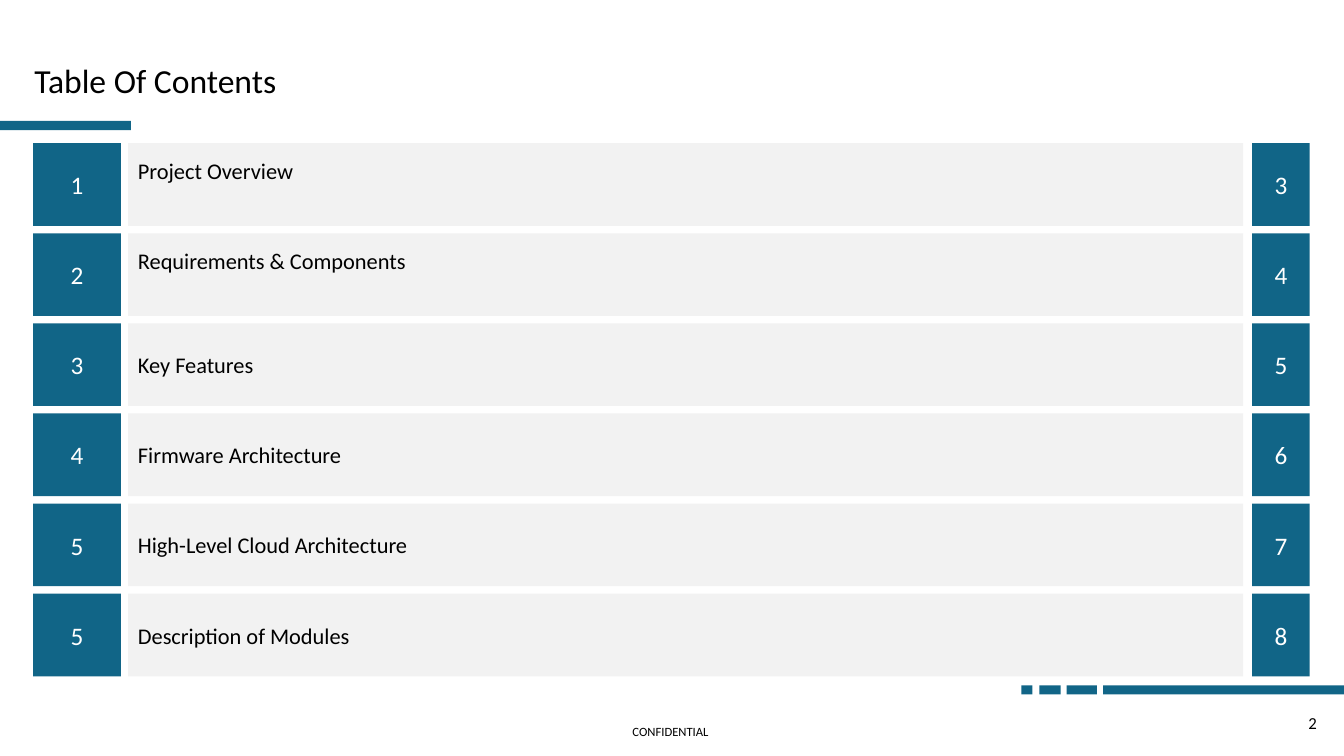
from dataclasses import dataclass

from pptx import Presentation
from pptx.dml.color import RGBColor
from pptx.enum.shapes import MSO_SHAPE
from pptx.enum.text import MSO_ANCHOR, PP_ALIGN
from pptx.shapes.base import BaseShape
from pptx.slide import Slide
from pptx.util import Inches, Pt

TEAL, GREY, BLACK, WHITE = "116587", "F2F2F2", "000000", "FFFFFF"
FONT = "Calibri"
ROW_TOP, ROW_STEP, ROW_HEIGHT = 1.42, 0.894, 0.82
LINE_HEIGHT = 0.27


@dataclass
class Entry:
    number: str
    topic: str
    page: str
    raised: bool = False


@dataclass
class Column:
    left: float
    width: float
    fill: str
    size: int
    color: str
    alignment: PP_ALIGN


ENTRIES = [
    Entry("1", "Project Overview", "3", raised=True),
    Entry("2", "Requirements & Components", "4", raised=True),
    Entry("3", "Key Features", "5"),
    Entry("4", "Firmware Architecture", "6"),
    Entry("5", "High-Level Cloud Architecture", "7"),
    Entry("5", "Description of Modules", "8"),
]
NUMBER_COLUMN = Column(0.33, 0.87, TEAL, 18, WHITE, PP_ALIGN.CENTER)
TOPIC_COLUMN = Column(1.27, 11.06, GREY, 16, BLACK, PP_ALIGN.LEFT)
PAGE_COLUMN = Column(12.42, 0.57, TEAL, 18, WHITE, PP_ALIGN.CENTER)

# Left edge and width of each dash in the footer band
FOOTER_DASHES = [(10.13, 0.11), (10.31, 0.21), (10.58, 0.3), (10.94, 2.39)]


def rgb(color: str) -> RGBColor:
    return RGBColor.from_string(color)


def add_box(slide: Slide, left: float, top: float, width: float, height: float,
            fill: str) -> BaseShape:
    shape = slide.shapes.add_shape(MSO_SHAPE.RECTANGLE, Inches(left), Inches(top),
                                   Inches(width), Inches(height))
    shape.shadow.inherit = False
    shape.fill.solid()
    shape.fill.fore_color.rgb = rgb(fill)
    shape.line.fill.background()
    return shape


def write_text(shape: BaseShape, text: str, size: int, color: str,
               alignment: PP_ALIGN, wrap: bool = True) -> None:
    text_frame = shape.text_frame
    text_frame.text = text
    text_frame.word_wrap = wrap
    text_frame.vertical_anchor = MSO_ANCHOR.MIDDLE
    paragraph = text_frame.paragraphs[0]
    paragraph.alignment = alignment
    font = paragraph.runs[0].font
    font.name = FONT
    font.size = Pt(size)
    font.color.rgb = rgb(color)


def add_label(slide: Slide, left: float, top: float, width: float, height: float,
              text: str, size: int, alignment: PP_ALIGN, wrap: bool = True) -> BaseShape:
    label = slide.shapes.add_textbox(Inches(left), Inches(top), Inches(width), Inches(height))
    write_text(label, text, size, BLACK, alignment, wrap)
    return label


def clear_margins(shape: BaseShape) -> None:
    text_frame = shape.text_frame
    text_frame.margin_left = text_frame.margin_right = Inches(0)
    text_frame.margin_top = text_frame.margin_bottom = Inches(0)


def add_cell(slide: Slide, column: Column, top: float, text: str) -> BaseShape:
    cell = add_box(slide, column.left, top, column.width, ROW_HEIGHT, column.fill)
    write_text(cell, text, column.size, column.color, column.alignment)
    return cell


def add_entry(slide: Slide, entry: Entry, top: float) -> None:
    add_cell(slide, NUMBER_COLUMN, top, entry.number)
    topic_cell = add_cell(slide, TOPIC_COLUMN, top, entry.topic)
    if entry.raised:
        topic_cell.text_frame.margin_bottom = Inches(0.05 + LINE_HEIGHT)
    add_cell(slide, PAGE_COLUMN, top, entry.page)


def add_title(slide: Slide, text: str) -> None:
    title = slide.shapes.title
    title.left, title.top = Inches(0.34), Inches(0.64)
    title.width, title.height = Inches(10.62), Inches(0.36)
    write_text(title, text, 24, BLACK, PP_ALIGN.LEFT)
    title.text_frame.paragraphs[0].line_spacing = 0.9
    clear_margins(title)


def main() -> None:
    presentation = Presentation()
    presentation.slide_width = Inches(13.33)
    presentation.slide_height = Inches(7.5)
    slide = presentation.slides.add_slide(presentation.slide_layouts[5])

    # Accent bars
    add_box(slide, 0, 1.2, 1.3, 0.09, TEAL)
    for left, width in FOOTER_DASHES:
        add_box(slide, left, 6.8, width, 0.09, TEAL)

    # Title and contents rows
    add_title(slide, "Table Of Contents")
    for index, entry in enumerate(ENTRIES):
        add_entry(slide, entry, ROW_TOP + index * ROW_STEP)

    # Footer
    footer = add_label(slide, 6.25, 7.2, 0.8, 0.14, "CONFIDENTIAL", 9,
                       PP_ALIGN.CENTER, wrap=False)
    footer.text_frame.paragraphs[0].line_spacing = 0.9
    clear_margins(footer)
    add_label(slide, 12.58, 6.97, 0.58, 0.4, "2", 12, PP_ALIGN.RIGHT)

    presentation.save("out.pptx")


if __name__ == "__main__":
    main()
